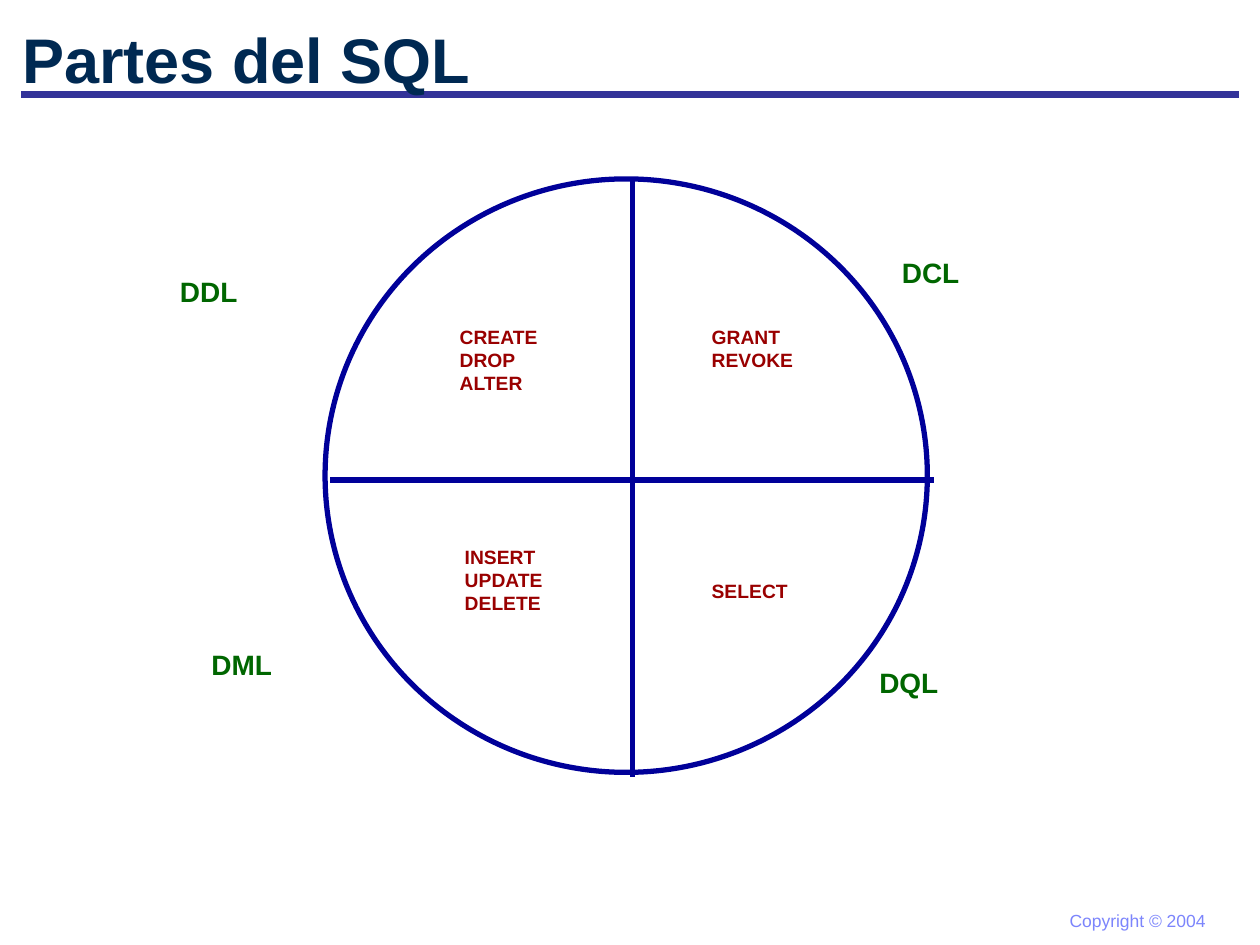
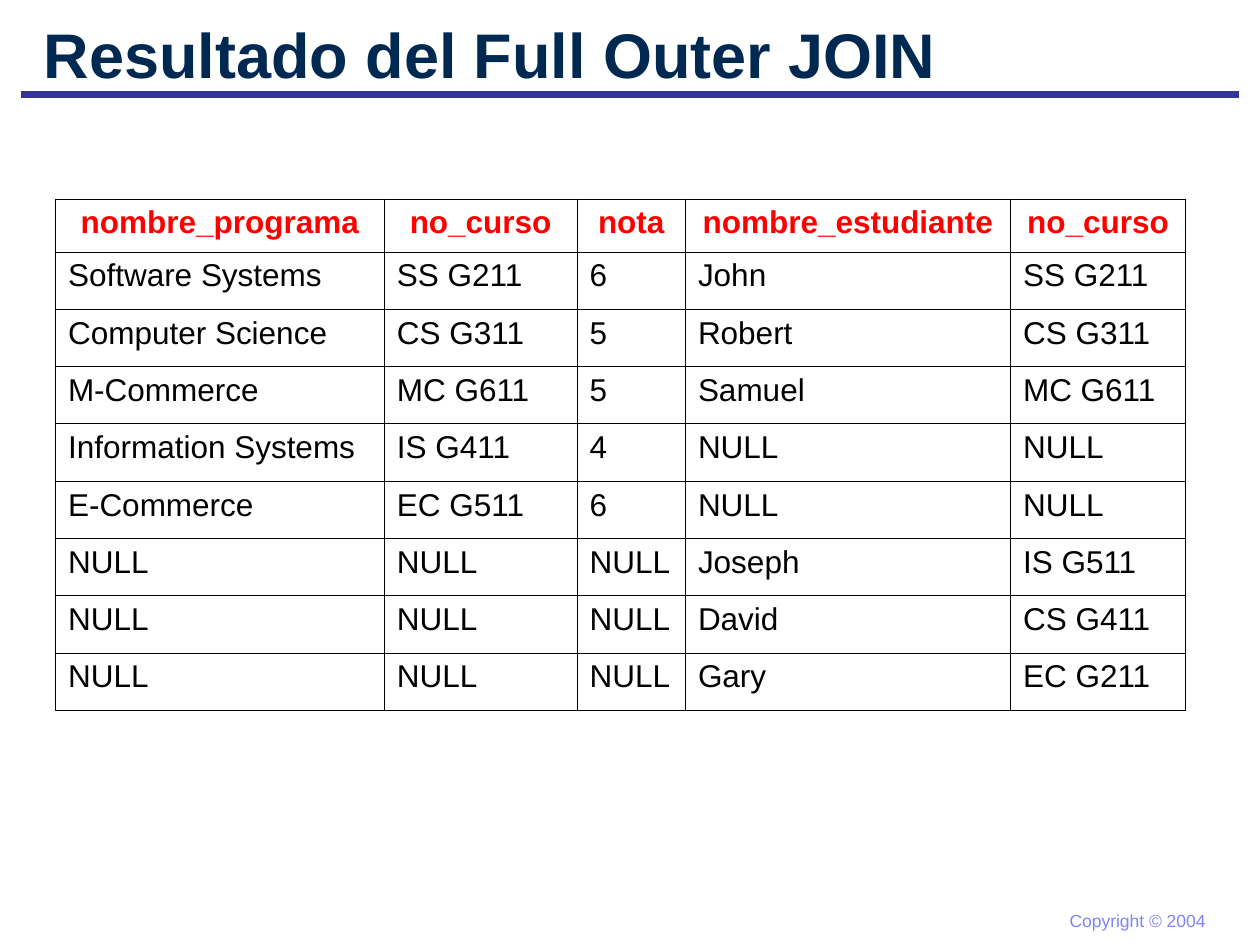
from lxml import etree
from pptx import Presentation
from pptx.dml.color import RGBColor
from pptx.enum.shapes import MSO_CONNECTOR, MSO_SHAPE
from pptx.enum.text import MSO_ANCHOR, PP_ALIGN
from pptx.oxml.ns import qn
from pptx.util import Inches, Pt

STRAIGHT = MSO_CONNECTOR.STRAIGHT
ELLIPSE = MSO_SHAPE.OVAL
TOP, MIDDLE = MSO_ANCHOR.TOP, MSO_ANCHOR.MIDDLE
LEFT, CENTER = PP_ALIGN.LEFT, PP_ALIGN.CENTER

FONT = "Arial"
WHITE = RGBColor(0xFF, 0xFF, 0xFF)
BLACK = RGBColor(0x00, 0x00, 0x00)
RED = RGBColor(0xFF, 0x00, 0x00)
TITLE_NAVY = RGBColor(0x00, 0x29, 0x52)
RULE_BLUE = RGBColor(0x33, 0x33, 0x99)
FOOTER_BLUE = RGBColor(0x7C, 0x85, 0xFC)
CIRCLE_BLUE = RGBColor(0x00, 0x00, 0x99)
LANGUAGE_GREEN = RGBColor(0x00, 0x66, 0x00)
COMMAND_RED = RGBColor(0x99, 0x00, 0x00)

LANGUAGES = [
    ("DCL", (7.06, 1.98, 1.75, 0.67)),
    ("DDL", (1.33, 2.13, 1.95, 0.67)),
    ("DML", (1.58, 5.09, 1.96, 0.85)),
    ("DQL", (6.88, 5.23, 1.62, 0.54)),
]
COMMANDS = [
    ("CREATE DROP ALTER", (3.55, 2.53, 1.06, 0.81)),
    ("GRANT REVOKE", (5.55, 2.53, 1.33, 0.54)),
    ("INSERT UPDATE DELETE", (3.59, 4.28, 1.33, 0.67)),
    ("SELECT", (5.55, 4.55, 0.93, 0.4)),
]

JOIN_HEADER = ["nombre_programa", "no_curso", "nota", "nombre_estudiante", "no_curso"]
JOIN_ROWS = [
    ["Software Systems", "SS G211", "6", "John", "SS G211"],
    ["Computer Science", "CS G311", "5", "Robert", "CS G311"],
    ["M-Commerce", "MC G611", "5", "Samuel", "MC G611"],
    ["Information Systems", "IS G411", "4", "NULL", "NULL"],
    ["E-Commerce", "EC G511", "6", "NULL", "NULL"],
    ["NULL", "NULL", "NULL", "Joseph", "IS G511"],
    ["NULL", "NULL", "NULL", "David", "CS G411"],
    ["NULL", "NULL", "NULL", "Gary", "EC G211"],
]
COLUMN_WIDTHS = [2.61, 1.53, 0.86, 2.58, 1.39]
HEADER_HEIGHT = 0.42
ROW_HEIGHT = 0.455


def add_run(paragraph, text, size, color, bold=False):
    run = paragraph.add_run()
    run.text = text
    run.font.name = FONT
    run.font.size = Pt(size)
    run.font.bold = bold
    run.font.color.rgb = color


def add_text(slide, text, box, size, color, bold=False, anchor=TOP, wrap=True):
    shape = slide.shapes.add_textbox(*map(Inches, box))
    frame = shape.text_frame
    frame.word_wrap = wrap
    frame.vertical_anchor = anchor
    add_run(frame.paragraphs[0], text, size, color, bold)


def add_line(slide, start, end, color, width):
    line = slide.shapes.add_connector(STRAIGHT, *map(Inches, start + end))
    line.line.color.rgb = color
    line.line.width = Pt(width)
    etree.SubElement(line._element.spPr, qn("a:effectLst"))


def add_circle(slide, box):
    circle = slide.shapes.add_shape(ELLIPSE, *map(Inches, box))
    circle.shadow.inherit = False
    circle.fill.solid()
    circle.fill.fore_color.rgb = WHITE
    circle.line.color.rgb = CIRCLE_BLUE
    circle.line.width = Pt(3)


def set_cell_borders(cell, color, width):
    properties = cell._tc.get_or_add_tcPr()
    for position, side in enumerate(("a:lnL", "a:lnR", "a:lnT", "a:lnB")):
        border = etree.Element(qn(side), w=str(Pt(width)))
        fill = etree.SubElement(border, qn("a:solidFill"))
        etree.SubElement(fill, qn("a:srgbClr"), val=str(color))
        properties.insert(position, border)


def add_cell(cell, text, color, bold, alignment):
    cell.fill.background()
    set_cell_borders(cell, BLACK, 0.45)
    paragraph = cell.text_frame.paragraphs[0]
    paragraph.alignment = alignment
    add_run(paragraph, text, 18, color, bold)


def add_join_table(slide, left, top):
    rows = [JOIN_HEADER] + JOIN_ROWS
    heights = [HEADER_HEIGHT] + [ROW_HEIGHT] * len(JOIN_ROWS)
    frame = slide.shapes.add_table(
        len(rows), len(JOIN_HEADER), Inches(left), Inches(top),
        Inches(sum(COLUMN_WIDTHS)), Inches(sum(heights)))
    table = frame.table
    table.first_row = False
    table.horz_banding = False
    for column, width in zip(table.columns, COLUMN_WIDTHS):
        column.width = Inches(width)
    for row_index, (values, height) in enumerate(zip(rows, heights)):
        table.rows[row_index].height = Inches(height)
        style = (RED, True, CENTER) if row_index == 0 else (BLACK, False, LEFT)
        for column_index, value in enumerate(values):
            add_cell(table.cell(row_index, column_index), value, *style)


def add_slide(presentation, title, title_box):
    slide = presentation.slides.add_slide(presentation.slide_layouts[6])
    add_line(slide, (0.17, 0.75), (9.83, 0.75), RULE_BLUE, 4.5)
    add_text(slide, "Copyright © 2004", (8.39, 7.17, 1.28, 0.27), 10, FOOTER_BLUE, wrap=False)
    add_text(slide, title, title_box, 36, TITLE_NAVY, bold=True, anchor=MIDDLE)
    return slide


def build_sql_parts(presentation):
    slide = add_slide(presentation, "Partes del SQL", (0.08, 0.17, 8.5, 0.58))
    add_circle(slide, (2.58, 1.42, 4.78, 4.71))
    add_line(slide, (5.02, 1.42), (5.02, 6.17), CIRCLE_BLUE, 3)
    add_line(slide, (2.62, 3.81), (7.41, 3.81), CIRCLE_BLUE, 3)
    for name, box in LANGUAGES:
        add_text(slide, name, box, 16, LANGUAGE_GREEN, bold=True)
    for commands, box in COMMANDS:
        add_text(slide, commands, box, 11, COMMAND_RED, bold=True)


def build_join_result(presentation):
    slide = add_slide(presentation, "Resultado del Full Outer JOIN", (0.25, 0.17, 8.5, 0.5))
    add_join_table(slide, 0.44, 1.58)


def main():
    presentation = Presentation()
    presentation.slide_width = Inches(10)
    presentation.slide_height = Inches(7.5)
    build_sql_parts(presentation)
    build_join_result(presentation)
    presentation.save("out.pptx")


if __name__ == "__main__":
    main()
